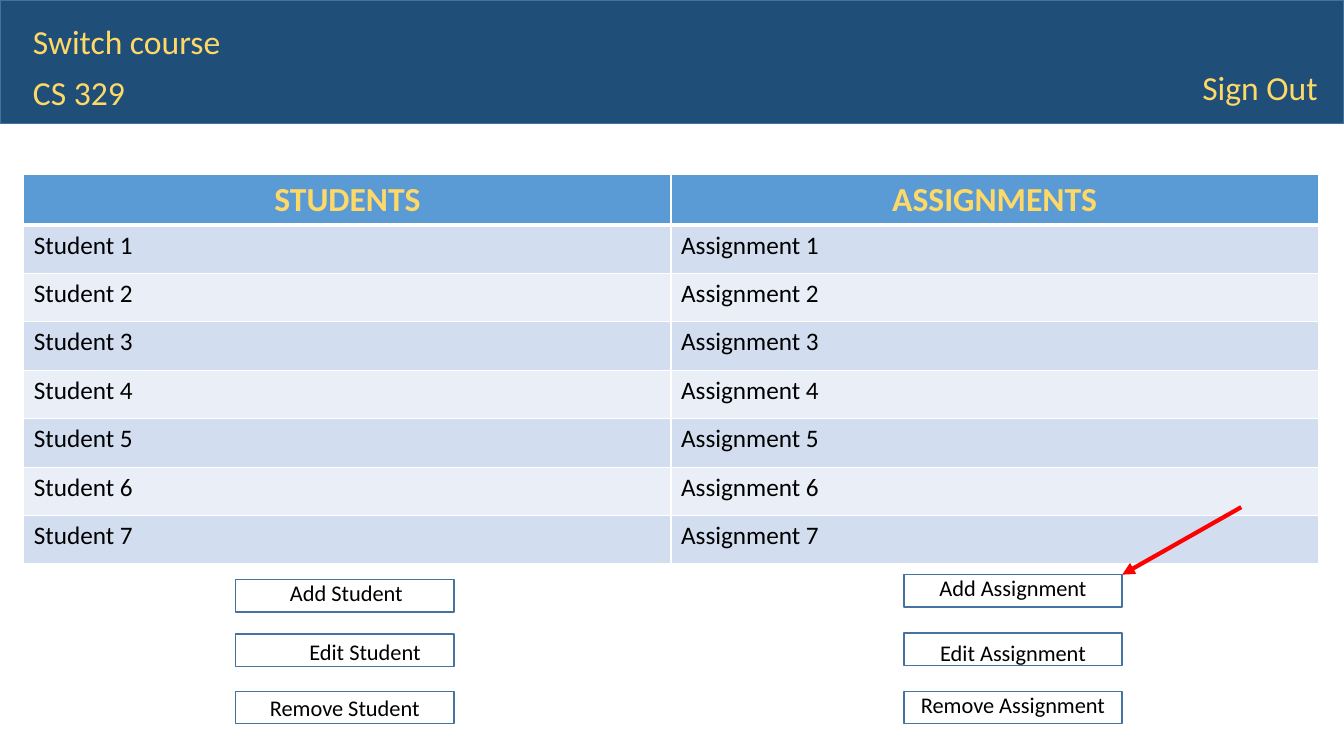
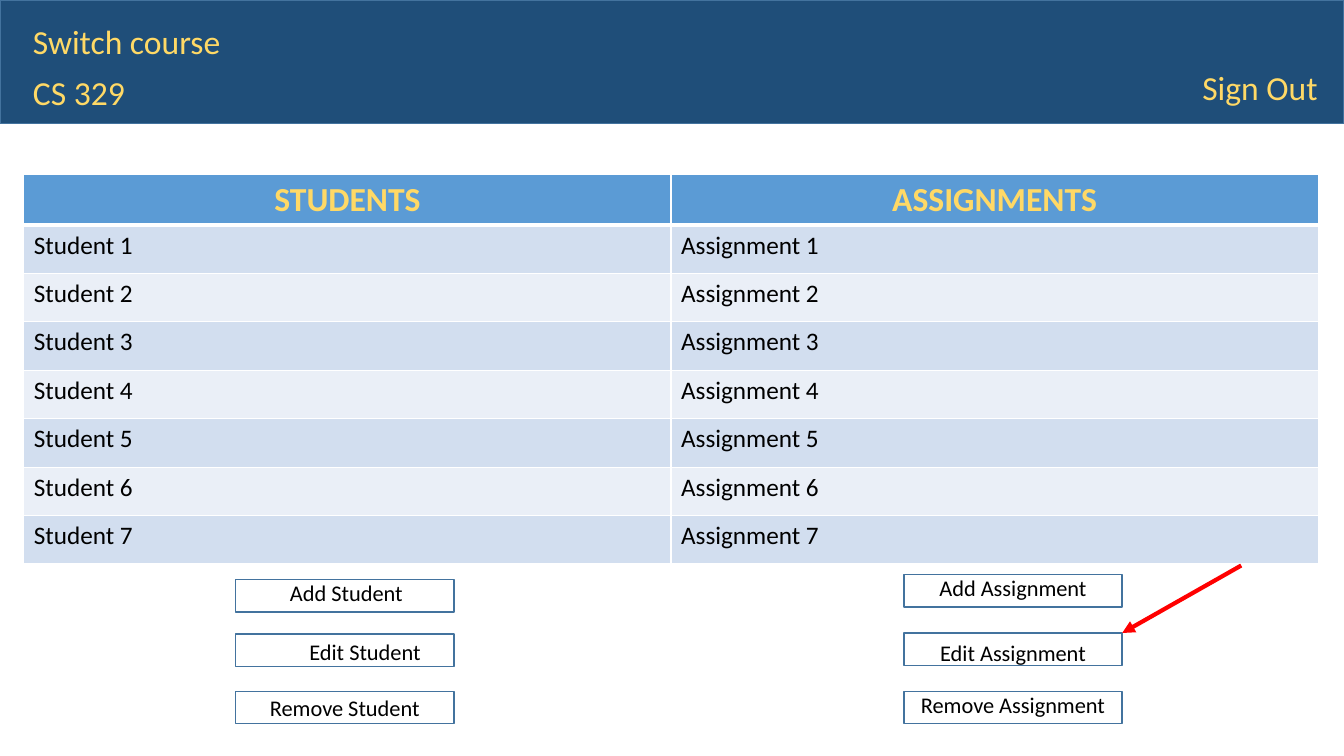
"""Build two course dashboard screens, each pointing at one assignment button."""
from lxml import etree
from pptx import Presentation
from pptx.dml.color import RGBColor
from pptx.enum.shapes import MSO_CONNECTOR, MSO_SHAPE
from pptx.enum.text import MSO_ANCHOR, PP_ALIGN
from pptx.oxml.ns import qn
from pptx.util import Cm, Pt

RECTANGLE = MSO_SHAPE.RECTANGLE
STRAIGHT = MSO_CONNECTOR.STRAIGHT
TOP = MSO_ANCHOR.TOP
LEFT, CENTER = PP_ALIGN.LEFT, PP_ALIGN.CENTER

NAVY = RGBColor(0x1F, 0x4E, 0x79)
OUTLINE = RGBColor(0x43, 0x73, 0x9E)
GOLD = RGBColor(0xFF, 0xD9, 0x66)
HEADER_BLUE = RGBColor(0x5B, 0x9B, 0xD5)
BANDS = (RGBColor(0xD2, 0xDE, 0xEF), RGBColor(0xEA, 0xEF, 0xF7))
BLACK = RGBColor(0, 0, 0)
WHITE = RGBColor(0xFF, 0xFF, 0xFF)
RED = RGBColor(0xFF, 0, 0)
FONT = "Calibri"

PAGE_WIDTH, PAGE_HEIGHT = 33.87, 19.05
BAND_HEIGHT = 3.12
TABLE_LEFT, TABLE_TOP = 0.6, 4.4
COLUMN_WIDTH, ROW_HEIGHT = 16.31, 1.22
BUTTON_WIDTH, BUTTON_HEIGHT = 5.5, 0.82
ARROW_RUN, ARROW_RISE = 3, 1.7

# (text, left, top, width)
BANNER = [
    ("Sign Out", 30.05, 1.55, 3.8),
    ("Switch course", 0.58, 0.41, 5.33),
    ("CS 329", 0.58, 1.7, 4.17),
]
HEADINGS = ("STUDENTS", "ASSIGNMENTS")
ROWS = [(f"Student {number}", f"Assignment {number}") for number in range(1, 8)]
BUTTONS = {
    "Add Student": dict(left=5.94, top=14.6, indent=0.08),
    "Edit Student": dict(left=5.94, top=15.98, indent=1.02, drop=0.1),
    "Remove Student": dict(left=5.94, top=17.42, drop=0.08),
    "Add Assignment": dict(left=22.78, top=14.48),
    "Edit Assignment": dict(left=22.78, top=15.95, drop=0.15),
    "Remove Assignment": dict(left=22.78, top=17.42),
}
TARGETS = ["Add Assignment", "Edit Assignment"]


def write(frame, text, size, color, align=LEFT, bold=False):
    para = frame.paragraphs[0]
    para.alignment = align
    span = para.add_run()
    span.text = text
    span.font.name = FONT
    span.font.size = Pt(size)
    span.font.bold = bold
    span.font.color.rgb = color


def add_rectangle(page, left, top, width, height, fill=None):
    box = page.shapes.add_shape(RECTANGLE, Cm(left), Cm(top), Cm(width), Cm(height))
    box.shadow.inherit = False
    if fill is None:
        box.fill.background()
    else:
        box.fill.solid()
        box.fill.fore_color.rgb = fill
    box.line.color.rgb = OUTLINE
    box.line.width = Pt(1)
    return box


def add_banner(page):
    add_rectangle(page, 0, 0, PAGE_WIDTH, BAND_HEIGHT, NAVY)
    for text, left, top, width in BANNER:
        box = page.shapes.add_textbox(Cm(left), Cm(top), Cm(width), Cm(1.27))
        box.text_frame.word_wrap = True
        write(box.text_frame, text, 24, GOLD)


def set_border(cell, side, points):
    properties = cell._tc.get_or_add_tcPr()
    line = etree.SubElement(properties, qn(f"a:ln{side}"), w=str(Pt(points)))
    fill = etree.SubElement(line, qn("a:solidFill"))
    etree.SubElement(fill, qn("a:srgbClr"), val=str(WHITE))


def add_roster(page):
    lines = [HEADINGS, *ROWS]
    columns = len(HEADINGS)
    table = page.shapes.add_table(
        len(lines), columns, Cm(TABLE_LEFT), Cm(TABLE_TOP),
        Cm(COLUMN_WIDTH * columns), Cm(ROW_HEIGHT * len(lines))).table
    for column in table.columns:
        column.width = Cm(COLUMN_WIDTH)
    for row, texts in enumerate(lines):
        table.rows[row].height = Cm(ROW_HEIGHT)
        for column, text in enumerate(texts):
            cell = table.cell(row, column)
            set_border(cell, "L", 1)
            set_border(cell, "R", 1)
            set_border(cell, "T", 3 if row == 1 else 1)
            set_border(cell, "B", 3 if row == 0 else 1)
            cell.fill.solid()
            if row == 0:
                cell.fill.fore_color.rgb = HEADER_BLUE
                write(cell.text_frame, text, 24, GOLD, CENTER, True)
            else:
                cell.fill.fore_color.rgb = BANDS[(row - 1) % 2]
                write(cell.text_frame, text, 18, BLACK)


def add_button(page, label, left, top, indent=0, drop=0):
    box = add_rectangle(page, left, top, BUTTON_WIDTH, BUTTON_HEIGHT)
    frame = box.text_frame
    frame.word_wrap = True
    frame.vertical_anchor = TOP
    frame.margin_left = Cm(0.25 + indent)
    frame.margin_right = Cm(0.25)
    frame.margin_top = Cm(drop)
    frame.margin_bottom = 0
    write(frame, label, 16, BLACK, CENTER)


def add_arrow(page, target):
    tip_x = BUTTONS[target]["left"] + BUTTON_WIDTH
    tip_y = BUTTONS[target]["top"]
    arrow = page.shapes.add_connector(
        STRAIGHT, Cm(tip_x + ARROW_RUN), Cm(tip_y - ARROW_RISE), Cm(tip_x), Cm(tip_y))
    arrow.line.color.rgb = RED
    arrow.line.width = Pt(3)
    etree.SubElement(arrow.line._get_or_add_ln(), qn("a:tailEnd"), type="triangle")
    etree.SubElement(arrow._element.spPr, qn("a:effectLst"))


def main():
    deck = Presentation()
    deck.slide_width, deck.slide_height = Cm(PAGE_WIDTH), Cm(PAGE_HEIGHT)
    blank = deck.slide_layouts.get_by_name("Blank")
    for target in TARGETS:
        page = deck.slides.add_slide(blank)
        add_banner(page)
        add_roster(page)
        for label, place in BUTTONS.items():
            add_button(page, label, **place)
        add_arrow(page, target)
    deck.save("out.pptx")


if __name__ == "__main__":
    main()
